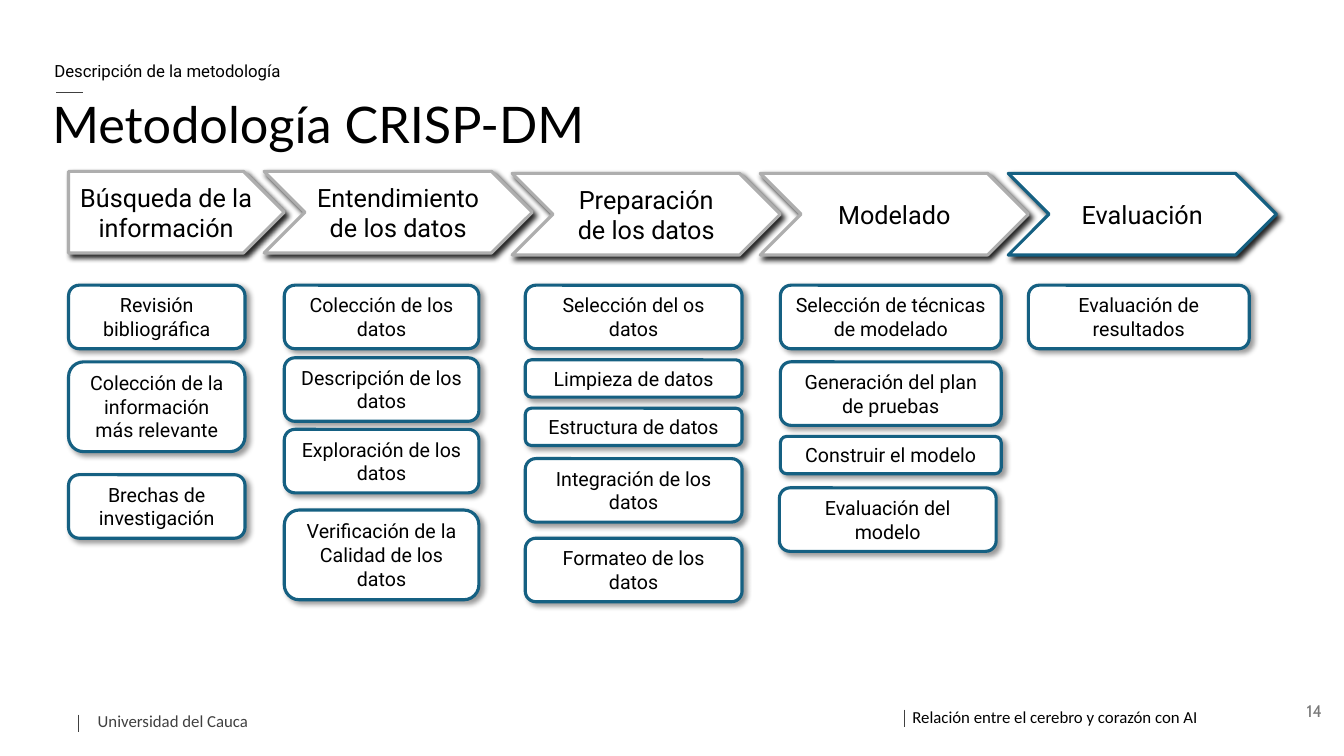
import pptx
import pptx.util
from lxml import etree
from pptx.dml.color import RGBColor
from pptx.enum.shapes import MSO_CONNECTOR, MSO_SHAPE
from pptx.enum.text import MSO_ANCHOR, MSO_AUTO_SIZE, PP_ALIGN
from pptx.oxml.ns import qn
from pptx.util import Inches, Pt

BLACK = RGBColor(0x00, 0x00, 0x00)
WHITE = RGBColor(0xFF, 0xFF, 0xFF)
BLUE = RGBColor(0x15, 0x60, 0x82)
SILVER = RGBColor(0xAE, 0xAE, 0xAE)
DARK_GRAY = RGBColor(0x40, 0x40, 0x40)
PAGE_GRAY = RGBColor(0x79, 0x79, 0x79)

PHASES = ["Búsqueda de la información", "Entendimiento de los datos",
          "Preparación de los datos", "Modelado", "Evaluación"]
# Column: left, width, steps; step: top below the column head, text lines, text
TASKS = [
    (0, 1.75, [(0, 2, "Revisión bibliográfica"),
               (0.76, 3, "Colección de la información más relevante"),
               (1.88, 2, "Brechas de investigación")]),
    (2.14, 1.93, [(0, 2, "Colección de los datos"),
                  (0.72, 2, "Descripción de los datos"),
                  (1.43, 2, "Exploración de los datos"),
                  (2.23, 3, "Verificación de la Calidad de los datos")]),
    (4.53, 2.15, [(0, 2, "Selección del os datos"),
                  (0.74, 1, "Limpieza de datos"),
                  (1.22, 1, "Estructura de datos"),
                  (1.72, 2, "Integración de los datos"),
                  (2.51, 2, "Formateo de los datos")]),
    (7.06, 2.19, [(0, 2, "Selección de técnicas de modelado"),
                  (0.76, 2, "Generación del plan de pruebas"),
                  (1.5, 1, "Construir el modelo")]),
    (7.05, 2.15, [(2.01, 2, "Evaluación del modelo")]),
    (9.52, 2.19, [(0, 2, "Evaluación de resultados")]),
]


def write(shape, text, font, size, color, align=PP_ALIGN.LEFT, anchor=MSO_ANCHOR.TOP):
    frame = shape.text_frame
    frame.word_wrap = True
    frame.vertical_anchor = anchor
    frame.text = text
    para = frame.paragraphs[0]
    para.alignment = align
    span = para.runs[0]
    span.font.name = font
    span.font.size = Pt(size)
    span.font.color.rgb = color
    return frame


def add_label(page, box, *style, **layout):
    shape = page.shapes.add_textbox(*map(Inches, box))
    return write(shape, *style, **layout)


def add_rule(page, left, top, width, height):
    rule = page.shapes.add_connector(
        MSO_CONNECTOR.STRAIGHT, Inches(left), Inches(top),
        Inches(left + width), Inches(top + height))
    rule.line.color.rgb = DARK_GRAY
    rule.line.width = Pt(1)
    etree.SubElement(rule._element.spPr, qn("a:effectLst"))


def cast_shadow(shape, opacity):
    """Give the shape a soft black shadow towards the lower right."""
    shape.shadow.inherit = False
    effects = shape._element.spPr.find(qn("a:effectLst"))
    shadow = etree.SubElement(effects, qn("a:outerShdw"), blurRad=str(Pt(4)),
                              dist=str(Pt(3)), dir="2700000", algn="tl", rotWithShape="0")
    tint = etree.SubElement(shadow, qn("a:srgbClr"), val=str(BLACK))
    etree.SubElement(tint, qn("a:alpha"), val=str(opacity * 1000))


def add_card(shapes, kind, box, text, size, outline, opacity, anchor):
    card = shapes.add_shape(kind, *map(Inches, box))
    card.fill.solid()
    card.fill.fore_color.rgb = WHITE
    card.line.color.rgb = outline
    card.line.width = Pt(2.25)
    cast_shadow(card, opacity)
    return write(card, text, "Roboto", size, BLACK, PP_ALIGN.CENTER, anchor)


def add_heading(page, left, top):
    section = add_label(page, (left + 0.02, top, 3.35, 0.63), "Descripción de la metodología",
                        "Roboto", 12, BLACK, anchor=MSO_ANCHOR.MIDDLE)
    section.paragraphs[0].line_spacing = 0.9
    add_rule(page, left + 0.14, top + 0.52, 0.26, 0)
    add_label(page, (left, top + 0.47, 9.15, 0.71), "Metodología CRISP-DM", "Lato", 36, BLACK)


def add_phases(page, left, top):
    """Draw the chain of arrows, with the current phase outlined in blue."""
    chain = page.shapes.add_group_shape().shapes
    for index, phase in enumerate(PHASES):
        if index == 0:
            kind, offset, width = MSO_SHAPE.PENTAGON, 0, 2.14
        else:
            kind, offset, width = MSO_SHAPE.CHEVRON, 1.94 + 2.46 * (index - 1), 2.66
        drop = 0 if index < 2 else 0.02
        outline = BLUE if phase == "Evaluación" else SILVER
        add_card(chain, kind, (left + offset, top + drop, width, 0.81),
                 phase, 18, outline, 85, MSO_ANCHOR.MIDDLE)


def add_tasks(page, left, top):
    for offset, width, steps in TASKS:
        for drop, lines, text in steps:
            box = (left + offset, top + drop, width, 0.11 + 0.26 * lines)
            frame = add_card(page.shapes, MSO_SHAPE.ROUNDED_RECTANGLE, box,
                             text, 14, BLUE, 40, MSO_ANCHOR.TOP)
            frame.auto_size = MSO_AUTO_SIZE.SHAPE_TO_FIT_TEXT


def add_footer(page, top):
    notes = [(0.78, 0.09, 0.96, 0.04, 2.64, "Universidad del Cauca", DARK_GRAY),
             (8.97, 0.04, 9.04, 0, 3, "Relación entre el cerebro y corazón con AI", BLACK)]
    for rule_left, rule_drop, left, drop, width, text, color in notes:
        add_rule(page, rule_left, top + rule_drop, 0, 0.17)
        frame = add_label(page, (left, top + drop, width, 0.22), text, "Calibri", 12, color)
        frame.margin_left = frame.margin_top = Inches(0.01)
        frame.margin_right = frame.margin_bottom = 0
    add_label(page, (10.21, top - 0.15, 3, 0.4), "14", "Cabin", 12, PAGE_GRAY,
              PP_ALIGN.RIGHT, MSO_ANCHOR.MIDDLE)


def main():
    deck = pptx.Presentation()
    deck.slide_width = Inches(13.33)
    deck.slide_height = Inches(7.5)
    page = deck.slides.add_slide(deck.slide_layouts[6])
    add_heading(page, 0.42, 0.4)
    add_phases(page, 0.68, 1.7)
    add_tasks(page, 0.68, 2.83)
    add_footer(page, 7)
    deck.save("out.pptx")


if __name__ == "__main__":
    main()
